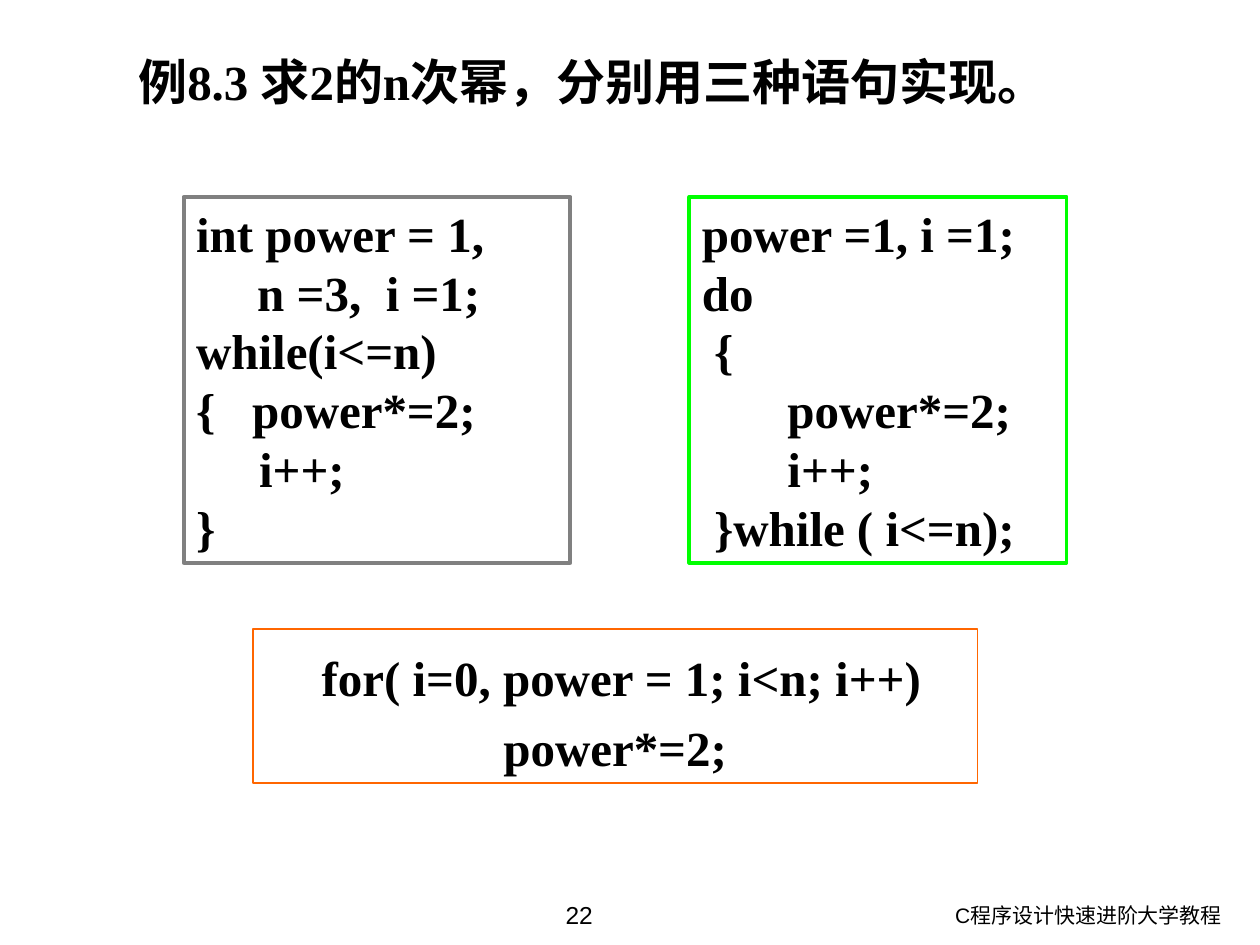
from dataclasses import dataclass
from typing import Optional

from pptx import Presentation
from pptx.dml.color import RGBColor
from pptx.enum.shapes import MSO_SHAPE
from pptx.enum.text import MSO_ANCHOR, MSO_AUTO_SIZE, PP_ALIGN
from pptx.util import Pt

COLOURS = {
    "text": "000000",
    "paper": "FFFFFF",
    "while": "808080",
    "do": "00FF00",
    "for": "FF6600",
}
SERIF = "Times New Roman"
SANS = "Arial"


@dataclass
class Box:
    left: float
    top: float
    width: float
    height: float


@dataclass
class CodeBox:
    box: Box
    lines: list[str]
    border: str
    border_width: float = 2.25
    fill: Optional[str] = "paper"
    align: PP_ALIGN = PP_ALIGN.LEFT
    line_spacing: float = 1.0


@dataclass
class Label:
    box: Box
    text: str
    size: float
    align: PP_ALIGN
    font: str = SANS
    bold: bool = False


def colour(name: str) -> RGBColor:
    return RGBColor.from_string(COLOURS[name])


def place(box: Box) -> tuple:
    return Pt(box.left), Pt(box.top), Pt(box.width), Pt(box.height)


def write(text_frame, lines: list[str], *, size: float = 28, font: str = SERIF,
          bold: bool = True, align: PP_ALIGN = PP_ALIGN.LEFT,
          line_spacing: float = 1.0) -> None:
    text_frame.word_wrap = True
    for index, line in enumerate(lines):
        paragraph = text_frame.add_paragraph() if index else text_frame.paragraphs[0]
        paragraph.alignment = align
        paragraph.line_spacing = line_spacing
        run = paragraph.add_run()
        run.text = line
        run.font.name = font
        run.font.size = Pt(size)
        run.font.bold = bold
        run.font.color.rgb = colour("text")


def draw_label(slide, label: Label) -> None:
    shape = slide.shapes.add_textbox(*place(label.box))
    write(shape.text_frame, [label.text], size=label.size, font=label.font,
          bold=label.bold, align=label.align)


def draw_code(slide, code: CodeBox) -> None:
    shape = slide.shapes.add_shape(MSO_SHAPE.RECTANGLE, *place(code.box))
    shape.shadow.inherit = False
    if code.fill:
        shape.fill.solid()
        shape.fill.fore_color.rgb = colour(code.fill)
    else:
        shape.fill.background()
    shape.line.color.rgb = colour(code.border)
    shape.line.width = Pt(code.border_width)
    shape.text_frame.vertical_anchor = MSO_ANCHOR.MIDDLE
    shape.text_frame.auto_size = MSO_AUTO_SIZE.SHAPE_TO_FIT_TEXT
    write(shape.text_frame, code.lines, align=code.align,
          line_spacing=code.line_spacing)


# Footer, page number and heading
LABELS = [
    Label(Box(473, 512, 232.5, 28), "C程序设计快速进阶大学教程", 12, PP_ALIGN.RIGHT),
    Label(Box(247, 510.5, 168, 29.5), "22", 14, PP_ALIGN.CENTER),
    Label(Box(72, 26, 648, 50), "例8.3 求2的n次幂，分别用三种语句实现。", 28,
          PP_ALIGN.LEFT, SERIF, True),
]

# The three loop statements
CODE_BOXES = [
    CodeBox(Box(105, 112.5, 221, 209),
            ["int power = 1,", "     n =3,  i =1;", "while(i<=n)",
             "{   power*=2;", "\ti++;", "}"],
            "while"),
    CodeBox(Box(394, 112.5, 215.5, 209),
            ["power =1, i =1;", "do", " {", "       power*=2;",
             "       i++;", " }while ( i<=n);"],
            "do"),
    CodeBox(Box(144.5, 359.5, 414, 88),
            [" for( i=0, power = 1; i<n; i++)", "power*=2;"],
            "for", border_width=0.75, fill=None, align=PP_ALIGN.CENTER,
            line_spacing=1.2),
]


def main() -> None:
    presentation = Presentation()
    presentation.slide_width = Pt(720)
    presentation.slide_height = Pt(540)
    slide = presentation.slides.add_slide(presentation.slide_layouts[6])
    for label in LABELS:
        draw_label(slide, label)
    for code in CODE_BOXES:
        draw_code(slide, code)
    presentation.save("out.pptx")


if __name__ == "__main__":
    main()
